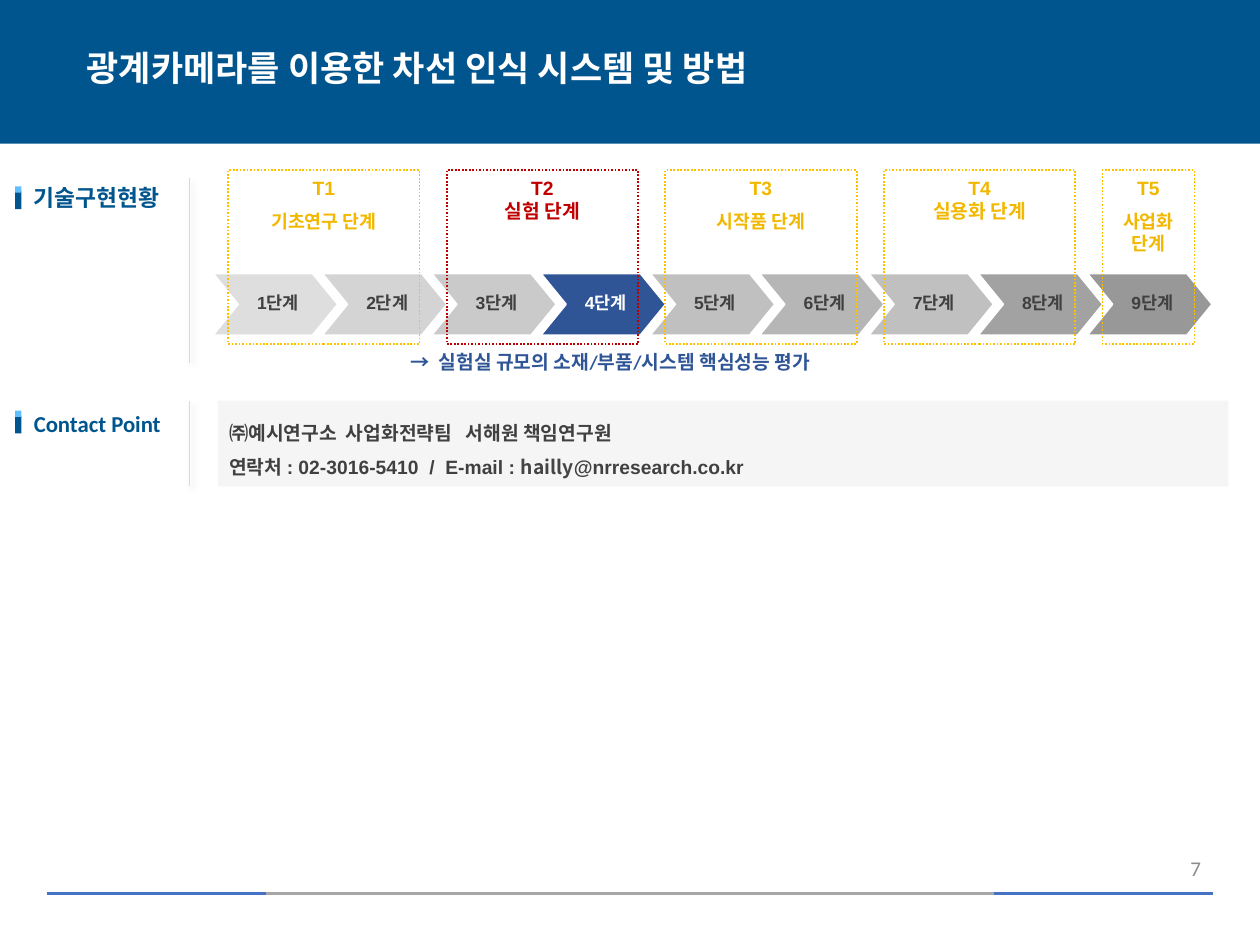
from lxml.etree import SubElement
from pptx import Presentation
from pptx.dml.color import RGBColor
from pptx.enum.dml import MSO_LINE
from pptx.enum.shapes import MSO_CONNECTOR, MSO_SHAPE
from pptx.enum.text import MSO_ANCHOR, PP_ALIGN
from pptx.oxml.ns import qn
from pptx.util import Inches, Pt

NAVY, BLUE, GRAY = "00558E", "2F5597", "404040"
GOLD, RED = "F2B800", "C00000"
KOREAN = "Noto Sans CJK KR"
STEP_PITCH = 6.94 / 8
STEP_FILLS = ["DEDEDE", "D4D4D4", "CACACA", BLUE, "C0C0C0", "B6B6B6", "C0C0C0", "A2A2A2", "989898"]
CURRENT_STEP = 4
STAGES = [
    ("T1", ["기초연구 단계"], True),
    ("T2", ["실험 단계"], False),
    ("T3", ["시작품 단계"], True),
    ("T4", ["실용화 단계"], False),
    ("T5", ["사업화", "단계"], True),
]


def rgb(value):
    """Return the colour for a hex string."""
    return RGBColor.from_string(value)


def add_run(p, text, size, color, font="Arial", bold=True):
    """Append a formatted run to a paragraph."""
    r = p.add_run()
    r.text = text
    r.font.size = Pt(size)
    r.font.bold = bold
    r.font.name = font
    r.font.color.rgb = rgb(color)
    SubElement(r._r.get_or_add_rPr(), qn("a:ea"), typeface=KOREAN)


def next_paragraph(tf, align=PP_ALIGN.LEFT, spacing=None):
    """Return the unused first paragraph or a new one."""
    p = tf.paragraphs[0] if not tf.paragraphs[0].runs else tf.add_paragraph()
    p.alignment = align
    if spacing:
        p.line_spacing = spacing
    return p


def add_text_box(shapes, x, y, w, h, anchor=MSO_ANCHOR.TOP, wrap=True):
    """Add a text box and return its text frame."""
    tf = shapes.add_textbox(Inches(x), Inches(y), Inches(w), Inches(h)).text_frame
    tf.word_wrap = wrap
    tf.vertical_anchor = anchor
    return tf


def add_rect(shapes, x, y, w, h, fill=None):
    """Add a borderless rectangle, hollow unless a fill is given."""
    sp = shapes.add_shape(MSO_SHAPE.RECTANGLE, Inches(x), Inches(y), Inches(w), Inches(h))
    sp.shadow.inherit = False
    sp.line.fill.background()
    if fill:
        sp.fill.solid()
        sp.fill.fore_color.rgb = rgb(fill)
    else:
        sp.fill.background()
    return sp


def add_line(shapes, x1, y1, x2, y2, color, width):
    """Add a straight line and return its effect list."""
    line = shapes.add_connector(MSO_CONNECTOR.STRAIGHT, Inches(x1), Inches(y1), Inches(x2), Inches(y2))
    line.line.color.rgb = rgb(color)
    line.line.width = Pt(width)
    return SubElement(line._element.spPr, qn("a:effectLst"))


def add_separator(shapes, top, bottom):
    """Add a thin vertical line with a soft shadow."""
    effects = add_line(shapes, 1.5, top, 1.5, bottom, "D9D9D9", 0.25)
    shadow = SubElement(effects, qn("a:outerShdw"), blurRad=str(Pt(4)), dist=str(Pt(3)),
                        dir="2700000", algn="tl", rotWithShape="0")
    color = SubElement(shadow, qn("a:srgbClr"), val="000000")
    SubElement(color, qn("a:alpha"), val="40000")


def add_section_label(shapes, text, text_top, width, bar_top):
    """Add a section heading with its two-tone marker."""
    tf = add_text_box(shapes, 0.17, text_top, width, 0.32, wrap=False)
    add_run(next_paragraph(tf), text, 13, NAVY, "Calibri")
    marker = shapes.add_group_shape().shapes
    add_rect(marker, 0.12, bar_top + 0.04, 0.05, 0.14, NAVY)
    add_rect(marker, 0.12, bar_top, 0.05, 0.05, "61BFFF")


def add_step(shapes, number, fill):
    """Add one arrow of the nine-step chain."""
    x, top, middle, bottom = 1.69 + STEP_PITCH * (number - 1), 2.17, 2.415, 2.66
    points = [(x, top), (x + 0.79, top), (x + 0.99, middle),
              (x + 0.79, bottom), (x, bottom), (x + 0.2, middle)]
    points = [(Inches(px), Inches(py)) for px, py in points]
    builder = shapes.build_freeform(*points[0])
    builder.add_line_segments(points[1:], close=True)
    sp = builder.convert_to_shape()
    sp.shadow.inherit = False
    sp.fill.solid()
    sp.fill.fore_color.rgb = rgb(fill)
    sp.line.color.rgb = rgb("FFFFFF")
    sp.line.width = Pt(1)
    tf = sp.text_frame
    tf.margin_left = Inches(0.04)
    tf.margin_top = tf.margin_right = tf.margin_bottom = 0
    tf.vertical_anchor = MSO_ANCHOR.MIDDLE
    color = "FFFFFF" if number == CURRENT_STEP else GRAY
    add_run(next_paragraph(tf, PP_ALIGN.CENTER, 0.9), f"{number}단계", 10, color)


def add_stage(shapes, index, code, names, loose):
    """Add a dotted frame naming one technology stage."""
    width = 0.73 if code == "T5" else 1.52
    sp = add_rect(shapes, 1.81 + 2 * STEP_PITCH * index, 1.35, width, 1.38)
    current = code == "T2"
    sp.line.color.rgb = rgb(RED if current else "FFC000")
    sp.line.width = Pt(1)
    sp.line.dash_style = MSO_LINE.ROUND_DOT
    tf = sp.text_frame
    tf.word_wrap = True
    tf.vertical_anchor = MSO_ANCHOR.TOP
    color = RED if current else GOLD
    add_run(next_paragraph(tf, PP_ALIGN.CENTER), code, 11, color)
    for i, name in enumerate(names):
        p = next_paragraph(tf, PP_ALIGN.CENTER, 1.5 if loose and i == 0 else None)
        add_run(p, name, 10.5 if loose else 11, color)


def add_frame(shapes):
    """Add the title band, footer line and page number."""
    add_rect(shapes, 0, 0, 10, 1.14, NAVY)
    add_line(shapes, 0.37, 7.09, 9.63, 7.09, "4472C4", 1.5)
    add_line(shapes, 2.11, 7.09, 7.89, 7.09, "A6A6A6", 1.5)
    tf = add_text_box(shapes, 0.59, 0.29, 7.76, 0.53, MSO_ANCHOR.MIDDLE)
    add_run(next_paragraph(tf, spacing=0.9), "광계카메라를 이용한 차선 인식 시스템 및 방법", 20, "FFFFFF")
    tf = add_text_box(shapes, 7.38, 6.69, 2.25, 0.4, MSO_ANCHOR.MIDDLE)
    add_run(next_paragraph(tf, PP_ALIGN.RIGHT), "7", 12, "8C8C8C", "Calibri", False)


def add_status(shapes):
    """Add the technology readiness section."""
    add_section_label(shapes, "기술구현현황", 1.41, 1.3, 1.48)
    add_separator(shapes, 1.41, 2.88)
    steps = shapes.add_group_shape().shapes
    for number, fill in enumerate(STEP_FILLS, 1):
        add_step(steps, number, fill)
    stages = shapes.add_group_shape().shapes
    for index, stage in enumerate(STAGES):
        add_stage(stages, index, *stage)
    tf = add_text_box(shapes, 3.16, 2.73, 3.73, 0.4)
    add_run(next_paragraph(tf), "→  실험실 규모의 소재/부품/시스템 핵심성능 평가", 11, BLUE, "Calibri")


def add_contact(shapes):
    """Add the contact section."""
    add_section_label(shapes, "Contact Point", 3.2, 1.22, 3.26)
    add_separator(shapes, 3.18, 3.86)
    add_rect(shapes, 1.73, 3.18, 8.02, 0.68, "F5F5F5")
    tf = add_text_box(shapes, 1.72, 3.2, 7.93, 0.74)
    add_run(next_paragraph(tf, spacing=1.5), "㈜예시연구소  사업화전략팀   서해원 책임연구원", 11, GRAY)
    p = next_paragraph(tf, spacing=1.5)
    add_run(p, "연락처 : 02-3016-5410  /  E-mail : ", 11, GRAY)
    add_run(p, "hailly", 11, "444444", KOREAN)
    add_run(p, "@nrresearch.co.kr", 11, GRAY)


def main():
    """Build and save the slide."""
    prs = Presentation()
    prs.slide_width, prs.slide_height = Inches(10), Inches(7.5)
    s = prs.slides.add_slide(prs.slide_layouts[6])
    add_frame(s.shapes)
    add_status(s.shapes)
    add_contact(s.shapes)
    prs.save("out.pptx")


if __name__ == "__main__":
    main()
